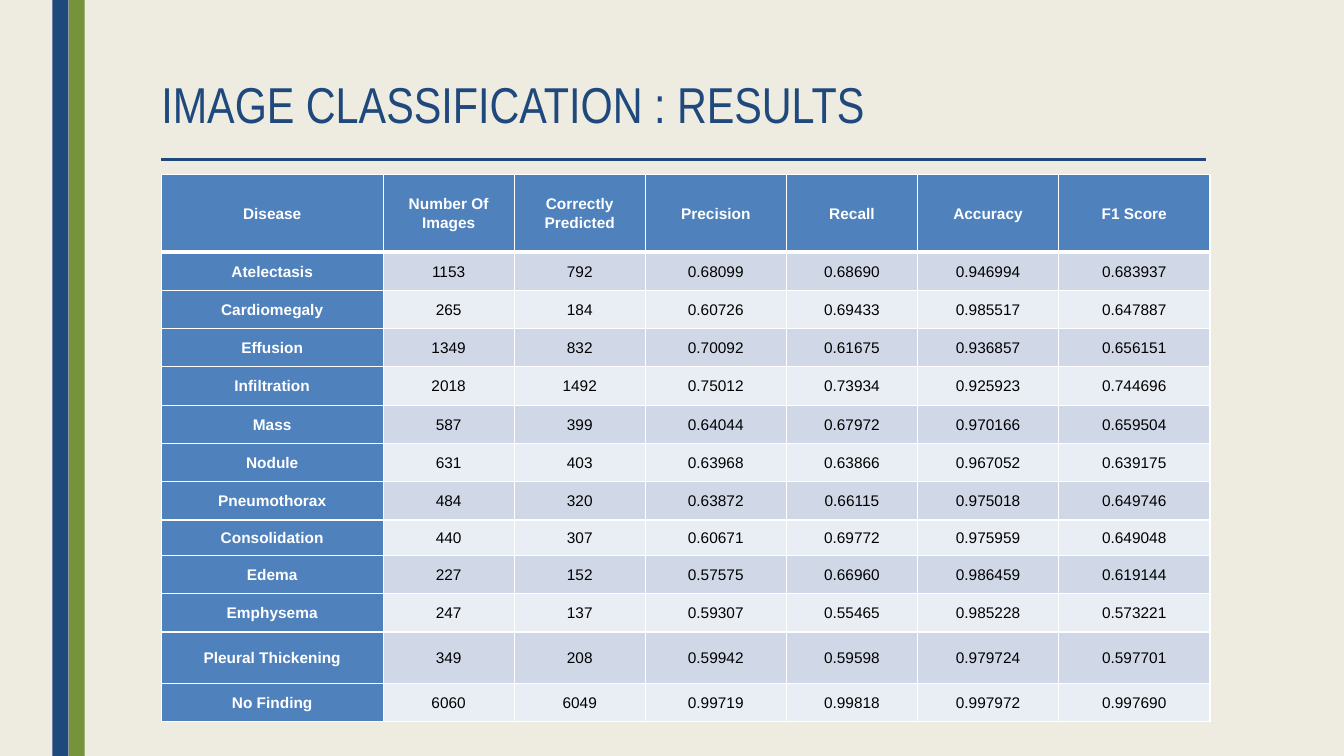
"""Build the slide with the image classification results per disease."""
from typing import Any, NamedTuple

from lxml.etree import SubElement
from pptx import Presentation
from pptx.dml.color import RGBColor
from pptx.enum.shapes import MSO_CONNECTOR, MSO_SHAPE
from pptx.enum.text import MSO_ANCHOR, MSO_AUTO_SIZE, PP_ALIGN
from pptx.oxml.ns import qn
from pptx.slide import Slide
from pptx.table import _Cell
from pptx.util import Inches, Pt

NAVY = RGBColor(0x1F, 0x49, 0x7D)
GREEN = RGBColor(0x76, 0x92, 0x3C)
CREAM = RGBColor(0xEE, 0xEC, 0xE1)
BLUE = RGBColor(0x4F, 0x81, 0xBD)
BAND_DARK = RGBColor(0xD0, 0xD8, 0xE8)
BAND_LIGHT = RGBColor(0xE9, 0xED, 0xF4)
WHITE = RGBColor(0xFF, 0xFF, 0xFF)
BLACK = RGBColor(0x00, 0x00, 0x00)

SLIDE_WIDTH, SLIDE_HEIGHT = 13.33, 7.5
TABLE_LEFT, TABLE_TOP = 1.6, 1.73
COLUMN_WIDTHS = (2.2, 1.3, 1.3, 1.4, 1.3, 1.4, 1.5)
HEADER_HEIGHT, ROW_HEIGHT = 0.77, 0.38
SPECIAL_HEIGHTS = {"Consolidation": 0.35, "Pleural Thickening": 0.51}
THIN_BORDER, THICK_BORDER = 1, 3

CELL_FORMAT = {
    "vertical_anchor": MSO_ANCHOR.MIDDLE,
    "margin_left": Inches(0.06),
    "margin_right": Inches(0.06),
    "margin_top": Inches(0),
    "margin_bottom": Inches(0),
}
CELL_PARA_FORMAT = {"alignment": PP_ALIGN.CENTER, "line_spacing": 1.07}
CELL_FONT = {"name": "Arial", "size": Pt(11)}
TITLE_BOX = {
    "left": Inches(1.5),
    "top": Inches(0.75),
    "width": Inches(10.5),
    "height": Inches(0.79),
}
TITLE_FRAME = {
    "auto_size": MSO_AUTO_SIZE.NONE,
    "vertical_anchor": MSO_ANCHOR.TOP,
    "word_wrap": True,
}
TITLE_PARA_FORMAT = {"alignment": PP_ALIGN.LEFT, "line_spacing": 0.89}
TITLE_FONT = {"name": "Arial Narrow", "size": Pt(36), "bold": False}


class Stripe(NamedTuple):
    """A vertical stripe at the left edge of the slide."""

    left: float
    color: RGBColor


class Result(NamedTuple):
    """One table row of classification results."""

    disease: str
    images: str
    predicted: str
    precision: str
    recall: str
    accuracy: str
    f1_score: str


STRIPES = (Stripe(0.68, GREEN), Stripe(0.52, NAVY))
HEADER = Result("Disease", "Number Of Images", "Correctly Predicted",
                "Precision", "Recall", "Accuracy", "F1 Score")
RESULTS = (
    Result("Atelectasis", "1153", "792", "0.68099", "0.68690", "0.946994", "0.683937"),
    Result("Cardiomegaly", "265", "184", "0.60726", "0.69433", "0.985517", "0.647887"),
    Result("Effusion", "1349", "832", "0.70092", "0.61675", "0.936857", "0.656151"),
    Result("Infiltration", "2018", "1492", "0.75012", "0.73934", "0.925923", "0.744696"),
    Result("Mass", "587", "399", "0.64044", "0.67972", "0.970166", "0.659504"),
    Result("Nodule", "631", "403", "0.63968", "0.63866", "0.967052", "0.639175"),
    Result("Pneumothorax", "484", "320", "0.63872", "0.66115", "0.975018", "0.649746"),
    Result("Consolidation", "440", "307", "0.60671", "0.69772", "0.975959", "0.649048"),
    Result("Edema", "227", "152", "0.57575", "0.66960", "0.986459", "0.619144"),
    Result("Emphysema", "247", "137", "0.59307", "0.55465", "0.985228", "0.573221"),
    Result("Pleural Thickening", "349", "208", "0.59942", "0.59598", "0.979724", "0.597701"),
    Result("No Finding", "6060", "6049", "0.99719", "0.99818", "0.997972", "0.997690"),
)


def apply_format(target: Any, values: dict[str, Any]) -> None:
    """Set each named attribute on the target."""
    for name, value in values.items():
        setattr(target, name, value)


def draw_stripe(page: Slide, stripe: Stripe) -> None:
    """Draw a stripe over the full slide height."""
    bar = page.shapes.add_shape(MSO_SHAPE.RECTANGLE, Inches(stripe.left), Inches(0),
                                Inches(0.16), Inches(SLIDE_HEIGHT))
    bar.shadow.inherit = False
    bar.fill.solid()
    bar.fill.fore_color.rgb = stripe.color
    bar.line.fill.background()


def draw_rule(page: Slide) -> None:
    """Draw the line under the title."""
    rule = page.shapes.add_connector(MSO_CONNECTOR.STRAIGHT, Inches(1.6), Inches(1.58),
                                     Inches(11.96), Inches(1.58))
    rule.line.color.rgb = NAVY
    rule.line.width = Pt(2.25)
    SubElement(rule._element.spPr, qn("a:effectLst"))


def write_title(page: Slide, text: str) -> None:
    """Place and format the title placeholder."""
    title = page.shapes.title
    apply_format(title, TITLE_BOX)
    apply_format(title.text_frame, TITLE_FRAME)
    para = title.text_frame.paragraphs[0]
    apply_format(para, TITLE_PARA_FORMAT)
    span = para.add_run()
    span.text = text
    apply_format(span.font, TITLE_FONT)
    span.font.color.rgb = NAVY


def add_borders(cell: _Cell, top: float, bottom: float) -> None:
    """Give a cell white borders with the given top and bottom widths."""
    properties = cell._tc.get_or_add_tcPr()
    widths = {"a:lnL": THIN_BORDER, "a:lnR": THIN_BORDER, "a:lnT": top, "a:lnB": bottom}
    for tag, width in widths.items():
        border = SubElement(properties, qn(tag), w=str(Pt(width)))
        fill = SubElement(border, qn("a:solidFill"))
        SubElement(fill, qn("a:srgbClr"), val=str(WHITE))


def fill_cell(cell: _Cell, text: str, row: int, column: int) -> None:
    """Write and format one cell according to its place in the table."""
    is_heading = row == 0 or column == 0
    apply_format(cell, CELL_FORMAT)
    add_borders(cell, THICK_BORDER if row == 1 else THIN_BORDER,
                THICK_BORDER if row == 0 else THIN_BORDER)
    cell.fill.solid()
    band = BAND_DARK if row % 2 else BAND_LIGHT
    cell.fill.fore_color.rgb = BLUE if is_heading else band
    para = cell.text_frame.paragraphs[0]
    apply_format(para, CELL_PARA_FORMAT)
    span = para.add_run()
    span.text = text
    apply_format(span.font, CELL_FONT | {"bold": is_heading})
    span.font.color.rgb = WHITE if is_heading else BLACK


def draw_table(page: Slide) -> None:
    """Draw the table of results."""
    rows = (HEADER, *RESULTS)
    heights = [HEADER_HEIGHT] + [SPECIAL_HEIGHTS.get(result.disease, ROW_HEIGHT)
                                 for result in RESULTS]
    table = page.shapes.add_table(len(rows), len(COLUMN_WIDTHS), Inches(TABLE_LEFT),
                                  Inches(TABLE_TOP), Inches(sum(COLUMN_WIDTHS)),
                                  Inches(sum(heights))).table
    table.first_col = True
    for column, width in zip(table.columns, COLUMN_WIDTHS):
        column.width = Inches(width)
    for row_index, (result, height) in enumerate(zip(rows, heights)):
        table.rows[row_index].height = Inches(height)
        for column_index, text in enumerate(result):
            fill_cell(table.cell(row_index, column_index), text, row_index, column_index)


def main() -> None:
    """Build and save the deck."""
    deck = Presentation()
    deck.slide_width, deck.slide_height = Inches(SLIDE_WIDTH), Inches(SLIDE_HEIGHT)
    page = deck.slides.add_slide(deck.slide_layouts.get_by_name("Title Only"))
    page.background.fill.solid()
    page.background.fill.fore_color.rgb = CREAM
    for stripe in STRIPES:
        draw_stripe(page, stripe)
    draw_rule(page)
    write_title(page, "IMAGE CLASSIFICATION : RESULTS")
    draw_table(page)
    deck.save("out.pptx")


if __name__ == "__main__":
    main()
